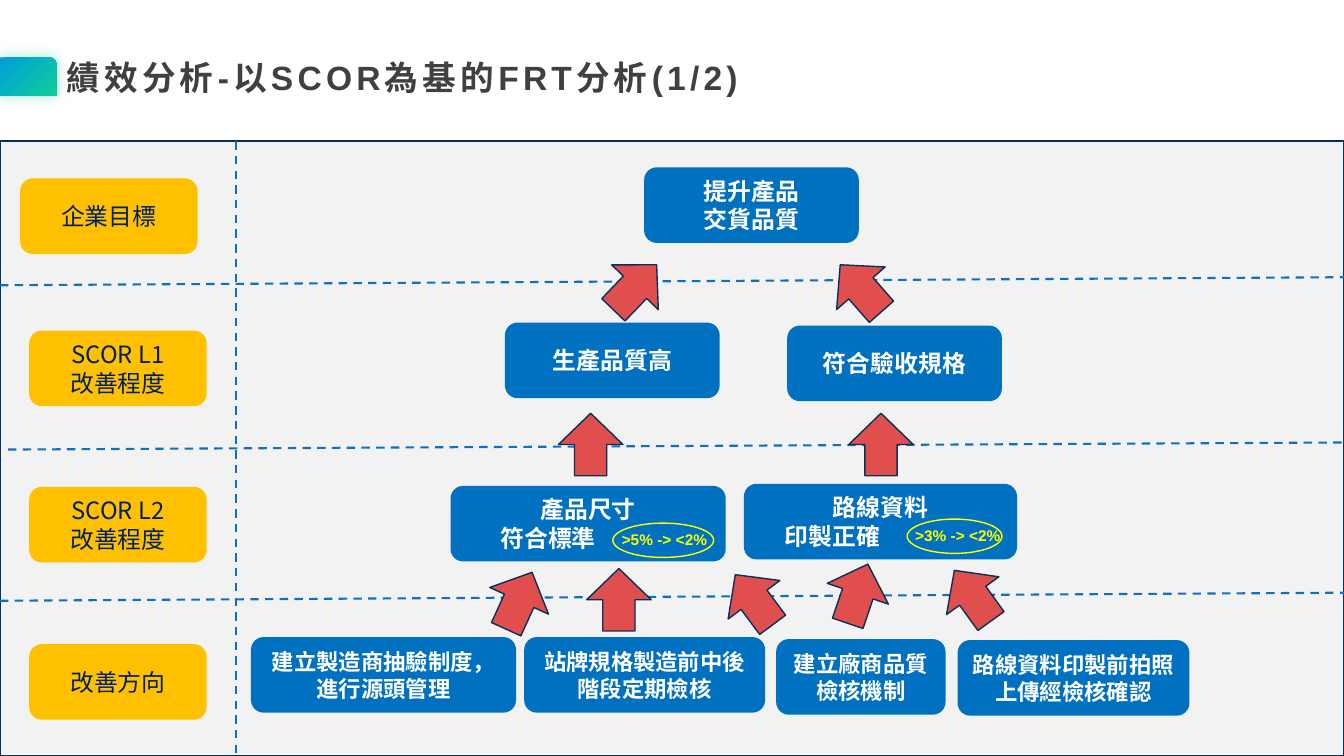
from lxml import etree
from pptx import Presentation
from pptx.dml.color import RGBColor
from pptx.enum.dml import MSO_LINE
from pptx.enum.shapes import MSO_CONNECTOR, MSO_SHAPE
from pptx.enum.text import MSO_ANCHOR, MSO_AUTO_SIZE, PP_ALIGN
from pptx.oxml.ns import qn
from pptx.util import Inches, Pt

COLUMNS, ROWS = 133.33, 75
CELL = Inches(0.1)
BOX_ROWS = 7.5
COLORS = {
    "panel": "F2F2F2", "navy": "073157", "divider": "0F6FC6",
    "box": "0070C0", "white": "FFFFFF", "arrow": "E14E4E",
    "label": "FFC000", "label text": "002060", "yellow": "FFFF00",
    "title": "404040", "green": "10CF9B", "blue": "009DD9",
}
CJK_FONT, LATIN_FONT = "Noto Sans CJK SC", "Arial"


def color(name):
    return RGBColor.from_string(COLORS[name])


def cells(*counts):
    """Turn counts of grid cells into lengths."""
    return [round(count * CELL) for count in counts]


class SlideBuilder:
    """Draws on one slide in the analysis style, with lengths in grid cells."""

    def __init__(self, slide):
        self.slide = slide

    def shape(self, kind, bounds, fill=None, line=None):
        shape = self.slide.shapes.add_shape(kind, *cells(*bounds))
        shape.shadow.inherit = False
        if fill:
            shape.fill.solid()
            shape.fill.fore_color.rgb = color(fill)
        else:
            shape.fill.background()
        if line:
            shape.line.color.rgb = color(line)
            shape.line.width = Pt(1)
        else:
            shape.line.fill.background()
        return shape

    def run(self, paragraph, text, size, ink, bold=True, font=CJK_FONT):
        run = paragraph.add_run()
        run.text = text
        run.font.size = Pt(size)
        run.font.bold = bold
        run.font.color.rgb = color(ink)
        run.font.name = font
        properties = run.font._element
        etree.SubElement(properties, qn("a:ea"), typeface=CJK_FONT)
        return properties

    def title(self, text, bounds):
        title = self.slide.shapes.title
        title.left, title.top, title.width, title.height = cells(*bounds)
        frame = title.text_frame
        frame.word_wrap = True
        frame.auto_size = MSO_AUTO_SIZE.NONE
        frame.vertical_anchor = MSO_ANCHOR.TOP
        paragraph = frame.paragraphs[0]
        paragraph.alignment = PP_ALIGN.LEFT
        properties = self.run(paragraph, text, 24, "title", font=LATIN_FONT)
        properties.set("spc", "300")

    def accent(self, bounds):
        """Draw the glowing tab with a gradient spreading from its lower right corner."""
        tab = self.shape(MSO_SHAPE.ROUND_1_RECTANGLE, bounds)
        tab.fill.gradient()
        for stop, name, position in zip(tab.fill.gradient_stops, ("green", "blue"), (0, 1)):
            stop.color.rgb = color(name)
            stop.position = position
        properties = tab._element.spPr
        gradient = properties.find(qn("a:gradFill"))
        gradient.remove(gradient.find(qn("a:lin")))
        spread = etree.SubElement(gradient, qn("a:path"), path="circle")
        etree.SubElement(spread, qn("a:fillToRect"), l="100000", t="100000")
        effects = properties.find(qn("a:effectLst"))
        glow = etree.SubElement(effects, qn("a:outerShdw"), blurRad=str(Pt(10)),
                                dist="0", dir="0", algn="ctr", rotWithShape="0")
        tint = etree.SubElement(glow, qn("a:srgbClr"), val=COLORS["green"])
        etree.SubElement(tint, qn("a:alpha"), val="40000")

    def divider(self, start, end):
        line = self.slide.shapes.add_connector(
            MSO_CONNECTOR.STRAIGHT, *cells(*start, *end))
        line.line.color.rgb = color("divider")
        line.line.width = Pt(1.5)
        line.line.dash_style = MSO_LINE.DASH
        etree.SubElement(line._element.spPr, qn("a:effectLst"))

    def box(self, lines, left, top, width, size=17, fill="box", ink="white",
            bold=True, last_indent=None):
        """Draw a rounded box; last_indent sets its last line left at that indent."""
        box = self.shape(MSO_SHAPE.ROUNDED_RECTANGLE, (left, top, width, BOX_ROWS), fill)
        frame = box.text_frame
        frame.word_wrap = True
        frame.vertical_anchor = MSO_ANCHOR.MIDDLE
        for index, text in enumerate(lines):
            paragraph = frame.add_paragraph() if index else frame.paragraphs[0]
            paragraph.alignment = PP_ALIGN.CENTER
            self.run(paragraph, text, size, ink, bold)
        if last_indent is not None:
            paragraph.alignment = PP_ALIGN.LEFT
            properties = paragraph._p.get_or_add_pPr()
            properties.set("marL", str(cells(last_indent)[0]))
            properties.set("indent", "0")

    def label(self, lines, left, top):
        self.box(lines, left, top, 17.6, fill="label", ink="label text", bold=False)

    def arrow(self, left, top, rotation=270):
        arrow = self.shape(MSO_SHAPE.RIGHT_ARROW, (left, top, 6.2, 6.4), "arrow", "navy")
        arrow.rotation = rotation

    def target(self, text, oval, text_bounds):
        self.shape(MSO_SHAPE.OVAL, oval, line="yellow")
        frame = self.slide.shapes.add_textbox(*cells(*text_bounds)).text_frame
        frame.word_wrap = True
        self.run(frame.paragraphs[0], text, 11, "yellow", font=LATIN_FONT)


def main():
    presentation = Presentation()
    presentation.slide_width, presentation.slide_height = cells(COLUMNS, ROWS)
    slide = presentation.slides.add_slide(presentation.slide_layouts[5])
    builder = SlideBuilder(slide)

    builder.accent((0, 5.7, 5.6, 3.8))
    builder.title("績效分析-以SCOR為基的FRT分析(1/2)", (5.6, 5.1, 69.7, 5))
    panel_top = 14
    builder.shape(MSO_SHAPE.RECTANGLE, (0, panel_top, COLUMNS, ROWS - panel_top),
                  "panel", "navy")
    builder.divider((23.4, panel_top), (23.4, ROWS))
    for left, start, end in ((0, 28.3, 27.5), (0.8, 44.6, 43.9), (0, 59.6, 58.8)):
        builder.divider((left, start), (COLUMNS, end))

    for lines, left, top in (
        (["企業目標"], 2, 17.7),
        (["SCOR L1", "改善程度"], 2.9, 32.8),
        (["SCOR L2", "改善程度"], 2.9, 48.3),
        (["改善方向"], 2.9, 63.9),
    ):
        builder.label(lines, left, top)

    for lines, left, top in (
        (["提升產品", "交貨品質"], 63.9, 16.6),
        (["生產品質高"], 50.1, 32),
        (["符合驗收規格"], 78.1, 32.3),
    ):
        builder.box(lines, left, top, 21.3)
    builder.box(["產品尺寸", "符合標準"], 44.7, 48.2, 27.3, last_indent=3.6)
    builder.box(["路線資料", "印製正確"], 73.8, 48, 27.1, last_indent=2.7)
    for lines, left, top, width in (
        (["建立製造商抽驗制度，進行源頭管理"], 24.9, 63.2, 26.3),
        (["站牌規格製造前中後階段定期檢核"], 52, 63.2, 23.9),
        (["建立廠商品質", "檢核機制"], 77, 63.4, 16.8),
        (["路線資料印製前拍照上傳經檢核確認"], 95, 63.5, 23),
    ):
        builder.box(lines, left, top, width, size=16)

    for arrow in (
        (59.9, 25.3, 313.8), (82.3, 25.4, 228.7),
        (55.5, 40.9), (84.3, 40.9),
        (48.4, 56.4, 294.4), (58.3, 56.3), (71.7, 56.3, 233.3),
        (82, 55.7, 288.8), (93.4, 55.9, 234.2),
    ):
        builder.arrow(*arrow)

    builder.target(">5% -> <2%", (60.8, 51.9, 10, 3.4), (60.7, 52.1, 10.6, 2.9))
    builder.target(">3% -> <2%", (90, 51.5, 9.4, 3.4), (89.8, 51.7, 11.8, 2.9))
    presentation.save("out.pptx")


if __name__ == "__main__":
    main()
